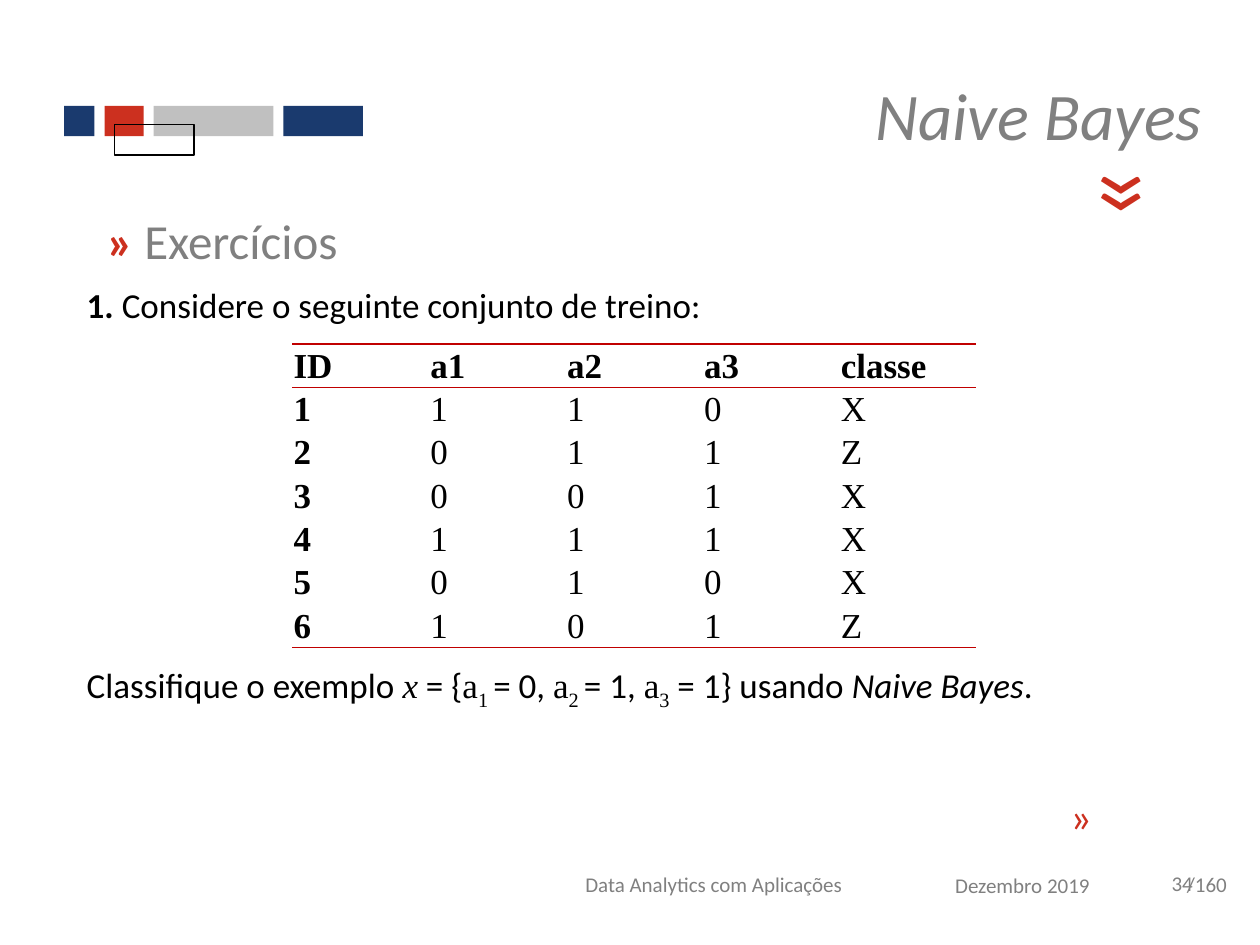
from pptx import Presentation
from pptx.dml.color import RGBColor
from pptx.enum.shapes import MSO_SHAPE
from pptx.enum.text import MSO_ANCHOR, PP_ALIGN
from pptx.oxml import parse_xml
from pptx.oxml.ns import nsdecls
from pptx.util import Inches, Pt

NAVY = RGBColor(0x1A, 0x3A, 0x6E)
RED = RGBColor(0xCC, 0x30, 0x1F)
SILVER = RGBColor(0xC0, 0xC0, 0xC0)
GRAY = RGBColor(0x80, 0x80, 0x80)
BLACK = RGBColor(0, 0, 0)
RULE_RED = RGBColor(0xC0, 0, 0)
SANS, SERIF = "Calibri", "Times New Roman"


def add_run(para, text, size, color, font=SANS, bold=False, italic=False, subscript=False):
    span = para.add_run()
    span.text = text
    span.font.name = font
    span.font.size = Pt(size)
    span.font.color.rgb = color
    span.font.bold = bold
    span.font.italic = italic
    if subscript:
        span._r.get_or_add_rPr().set("baseline", "-25000")


def add_box(left, top, width, height, anchor=MSO_ANCHOR.TOP, align=PP_ALIGN.LEFT):
    box = page.shapes.add_textbox(Inches(left), Inches(top), Inches(width), Inches(height))
    box.text_frame.word_wrap = True
    box.text_frame.vertical_anchor = anchor
    box.text_frame.paragraphs[0].alignment = align
    return box, box.text_frame.paragraphs[0]


deck = Presentation()
deck.slide_width, deck.slide_height = Inches(10), Inches(7.5)
page = deck.slides.add_slide(deck.slide_layouts[6])

# Colour bar, left to right with equal gaps
left = 0.51
for width, color in [(0.24, NAVY), (0.31, RED), (0.95, SILVER), (0.63, NAVY)]:
    bar = page.shapes.add_shape(MSO_SHAPE.RECTANGLE, Inches(left), Inches(0.84), Inches(width), Inches(0.24))
    bar.shadow.inherit = False
    bar.fill.solid()
    bar.fill.fore_color.rgb = color
    bar.line.fill.background()
    left += width + 0.08

# Outlined rectangle over the bar
outline = page.shapes.add_shape(MSO_SHAPE.RECTANGLE, Inches(0.91), Inches(0.99), Inches(0.63), Inches(0.24))
outline.shadow.inherit = False
outline.fill.background()
outline.line.color.rgb = BLACK
outline.line.width = Pt(0.75)

# Footer: page total, course, date and page number
total_box, para = add_box(9.06, 6.74, 0.94, 0.55, MSO_ANCHOR.MIDDLE)
total_box.text_frame.margin_left = Inches(0.36)
add_run(para, "/160", 12, GRAY)
for text, left, top, width in [
    ("Data Analytics com Aplicações", 4.13, 6.74, 3.07),
    ("Dezembro 2019", 7.2, 6.75, 1.83),
]:
    box, para = add_box(left, top, width, 0.55, MSO_ANCHOR.MIDDLE, PP_ALIGN.CENTER)
    add_run(para, text, 12, GRAY)
box, para = add_box(9.2, 6.86, 0.44, 0.3)
add_run(para, "34", 12, GRAY)

# Turned chevrons
for left, top, width, height, size, angle in [
    (8.26, 6.32, 0.51, 0.5, 24, 180),
    (8.5, 1.03, 0.55, 1.1, 60, 270),
]:
    chevron, para = add_box(left, top, width, height)
    chevron.rotation = angle
    add_run(para, "«", size, RED)

# Title and section heading
box, para = add_box(3.03, 0.44, 6.61, 0.93, MSO_ANCHOR.MIDDLE, PP_ALIGN.RIGHT)
add_run(para, "Naive Bayes", 38, GRAY, italic=True)
box, para = add_box(0.75, 1.62, 8.43, 0.57)
add_run(para, "» ", 28, RED, bold=True)
add_run(para, "Exercícios", 28, GRAY)

# Exercise statement
box, para = add_box(0.59, 2.2, 8.9, 0.44)
add_run(para, "1. ", 20, BLACK, bold=True)
add_run(para, "Considere o seguinte conjunto de treino:", 20, BLACK)

# Training set table
rows = [
    ["ID", "a1", "a2", "a3", "classe"],
    ["1", "1", "1", "0", "X"],
    ["2", "0", "1", "1", "Z"],
    ["3", "0", "0", "1", "X"],
    ["4", "1", "1", "1", "X"],
    ["5", "0", "1", "0", "X"],
    ["6", "1", "0", "1", "Z"],
]
last_row = len(rows) - 1
table = page.shapes.add_table(
    len(rows), len(rows[0]), Inches(2.32), Inches(2.73), Inches(5.43), Inches(2.41)
).table
table.first_row = False
table.horz_banding = False
for r, row in enumerate(rows):
    # Rules lie above and below the header and below the last row
    ruled = {"lnT": r <= 1, "lnB": r in (0, last_row)}
    for c, text in enumerate(row):
        cell = table.cell(r, c)
        cell.margin_left = cell.margin_top = cell.margin_right = Inches(0.01)
        cell.margin_bottom = 0
        cell.vertical_anchor = MSO_ANCHOR.MIDDLE
        add_run(cell.text_frame.paragraphs[0], text, 20, BLACK, SERIF, bold=r == 0 or c == 0)
        properties = cell._tc.get_or_add_tcPr()
        for side in ("lnL", "lnR", "lnT", "lnB"):
            if ruled.get(side):
                paint = f'<a:solidFill><a:srgbClr val="{RULE_RED}"/></a:solidFill>'
            else:
                paint = "<a:noFill/>"
            properties.append(parse_xml(f'<a:{side} {nsdecls("a")} w="12700">{paint}</a:{side}>'))
        cell.fill.background()

# Question with subscripted attributes
box, para = add_box(0.59, 5.22, 8.9, 0.44)
add_run(para, "Classifique o exemplo ", 20, BLACK)
add_run(para, "x", 20, BLACK, SERIF, italic=True)
add_run(para, " = {", 20, BLACK)
for index, value in [("1 ", "= 0, "), ("2 ", "= 1, "), ("3", " = 1} usando ")]:
    add_run(para, "a", 20, BLACK, SERIF)
    add_run(para, index, 20, BLACK, SERIF, subscript=True)
    add_run(para, value, 20, BLACK)
add_run(para, "Naive Bayes", 20, BLACK, italic=True)
add_run(para, ".", 20, BLACK)

deck.save("out.pptx")
